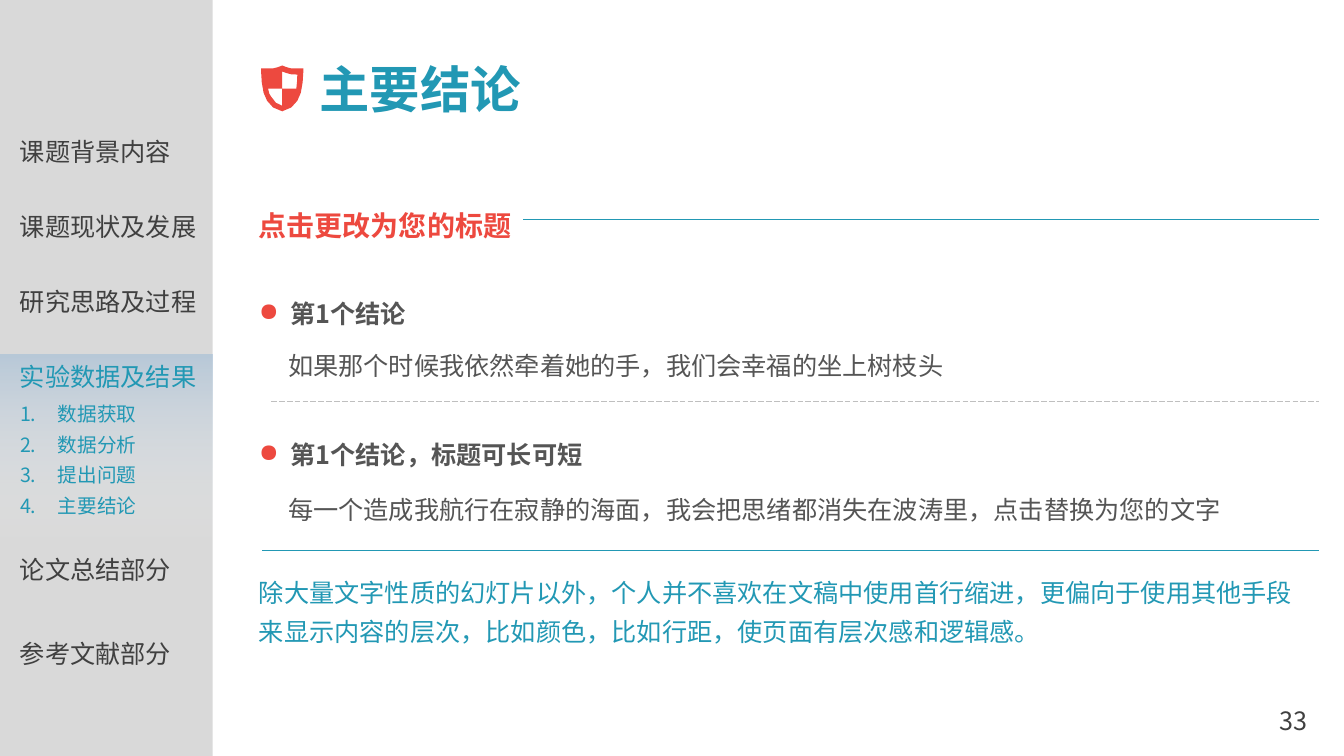
from dataclasses import dataclass

from lxml import etree
from pptx import Presentation
from pptx.dml.color import RGBColor
from pptx.enum.dml import MSO_LINE
from pptx.enum.shapes import MSO_CONNECTOR, MSO_SHAPE
from pptx.enum.text import PP_ALIGN
from pptx.oxml.ns import qn
from pptx.shapes.autoshape import Shape
from pptx.slide import Slide
from pptx.text.text import _Paragraph
from pptx.util import Pt

RECTANGLE = MSO_SHAPE.RECTANGLE
STRAIGHT = MSO_CONNECTOR.STRAIGHT
LONG_DASH = MSO_LINE.LONG_DASH
LEFT = PP_ALIGN.LEFT
CENTER = PP_ALIGN.CENTER

FONT = "Noto Sans CJK SC"
TEAL = "2298B4"
RED = "ED493F"
DARK = "404040"
GRAY = "555555"
SIDEBAR_WIDTH = 152
RIGHT_EDGE = 942.5
Points = list[tuple[float, float]]


@dataclass
class Bullet:
    tag: str
    attributes: dict[str, str]
    indent: float
    color: str = ""


@dataclass
class TextBlock:
    left: float
    top: float
    width: float
    height: float
    lines: list[str]
    color: str = DARK
    size: float = 18
    bold: bool = False
    spacing: float = 1.0
    align: PP_ALIGN = LEFT
    wrap: bool = True
    bullet: Bullet | None = None


@dataclass
class Rule:
    left: float
    top: float
    color: str = TEAL
    dash: MSO_LINE | None = None


NUMBERED = Bullet("a:buAutoNum", {"type": "arabicPeriod"}, 27)
DOT = Bullet("a:buChar", {"char": "●"}, 22.5, RED)


def rgb(color: str) -> RGBColor:
    return RGBColor.from_string(color)


def menu_item(top: float, label: str, color: str = DARK) -> TextBlock:
    return TextBlock(7.2, top, SIDEBAR_WIDTH, 29, [label], color)


def conclusion(top: float, body_top: float, title: str, body: str) -> list[TextBlock]:
    return [
        TextBlock(177.8, top, 314, 36, [title], GRAY, bold=True, spacing=1.5, bullet=DOT),
        TextBlock(198.7, body_top, 774, 40, [body], GRAY, spacing=1.5),
    ]


MAIN_TOPICS = ["课题背景内容", "课题现状及发展", "研究思路及过程", "实验数据及结果"]
CURRENT_TOPIC = "实验数据及结果"
TEXTS = [
    *(menu_item(93.6 + 53.6 * index, label, TEAL if label == CURRENT_TOPIC else DARK)
      for index, label in enumerate(MAIN_TOPICS)),
    menu_item(392.4, "论文总结部分"),
    menu_item(452.2, "参考文献部分"),
    TextBlock(7.2, 278.6, 101, 96, ["数据获取", "数据分析", "提出问题", "主要结论"],
              TEAL, 14, spacing=1.3, bullet=NUMBERED),
    TextBlock(894.2, 500.4, 60, 29, ["33"], align=CENTER),
    TextBlock(221, 38.2, 311, 51, ["主要结论"], TEAL, 36, True),
    TextBlock(177.8, 402.5, 764.6, 61,
              ["除大量文字性质的幻灯片以外，个人并不喜欢在文稿中使用首行缩进，更偏向于使用其他手段"
               "来显示内容的层次，比如颜色，比如行距，使页面有层次感和逻辑感。"],
              TEAL, spacing=1.3),
    TextBlock(177.8, 133.2, 196.6, 40, ["点击更改为您的标题"], RED, 20, True, 1.5, wrap=False),
    *conclusion(198.7, 236.2, "第1个结论",
                "如果那个时候我依然牵着她的手，我们会幸福的坐上树枝头"),
    *conclusion(299.5, 338.4, "第1个结论，标题可长可短",
                "每一个造成我航行在寂静的海面，我会把思绪都消失在波涛里，点击替换为您的文字"),
]
RULES = [
    Rule(373.7, 157),
    Rule(187.2, 393.1),
    Rule(193.7, 286.6, "BFBFBF", LONG_DASH),
]

SHIELD_CENTER, SHIELD_TOP = 201.6, 46.8
SHIELD_HALF: Points = [
    (0, 0), (3, 1.2), (6.5, 2.1), (15.1, 2.1), (15.1, 4.3), (14.6, 12),
    (13.3, 19.5), (10.8, 25.2), (6.5, 30), (0, 32.7),
]
SHIELD_CONTOURS: list[Points] = [
    SHIELD_HALF + [(-x, y) for x, y in SHIELD_HALF[-2:0:-1]],
    [(0, 4.3), (0, 16.6), (10.1, 16.6), (10.6, 11.5), (10.8, 6.5), (6.5, 6.3), (3, 5.4)],
    [(0, 28.8), (-4.5, 26.6), (-7.9, 22.3), (-9.2, 20.2), (-10.1, 16.6), (0, 16.6)],
]


def add_bullet(paragraph: _Paragraph, bullet: Bullet) -> None:
    properties = paragraph._p.get_or_add_pPr()
    properties.set("marL", str(Pt(bullet.indent)))
    properties.set("indent", str(-Pt(bullet.indent)))
    defaults = properties.find(qn("a:defRPr"))
    if bullet.color:
        bullet_color = etree.Element(qn("a:buClr"))
        etree.SubElement(bullet_color, qn("a:srgbClr"), val=bullet.color)
        defaults.addprevious(bullet_color)
    defaults.addprevious(etree.Element(qn(bullet.tag), bullet.attributes))


def add_text(slide: Slide, block: TextBlock) -> None:
    shape = slide.shapes.add_textbox(
        Pt(block.left), Pt(block.top), Pt(block.width), Pt(block.height))
    frame = shape.text_frame
    frame.word_wrap = block.wrap
    frame.text = "\n".join(block.lines)
    for paragraph in frame.paragraphs:
        paragraph.alignment = block.align
        paragraph.line_spacing = block.spacing
        font = paragraph.font
        font.size = Pt(block.size)
        font.bold = block.bold
        font.color.rgb = rgb(block.color)
        font.name = FONT
        defaults = paragraph._p.pPr.find(qn("a:defRPr"))
        etree.SubElement(defaults, qn("a:ea"), typeface=FONT)
        if block.bullet:
            add_bullet(paragraph, block.bullet)


def add_rule(slide: Slide, rule: Rule) -> None:
    connector = slide.shapes.add_connector(
        STRAIGHT, Pt(rule.left), Pt(rule.top), Pt(RIGHT_EDGE), Pt(rule.top))
    connector.line.color.rgb = rgb(rule.color)
    connector.line.width = Pt(0.5)
    if rule.dash:
        connector.line.dash_style = rule.dash
    etree.SubElement(connector._element.spPr, qn("a:effectLst"))


def add_panel(slide: Slide, top: float, height: float) -> Shape:
    panel = slide.shapes.add_shape(RECTANGLE, 0, Pt(top), Pt(SIDEBAR_WIDTH), Pt(height))
    panel.shadow.inherit = False
    panel.line.fill.background()
    return panel


def add_sidebar(slide: Slide) -> None:
    sidebar = add_panel(slide, 0, 540)
    sidebar.fill.solid()
    sidebar.fill.fore_color.rgb = rgb("D9D9D9")
    highlight = add_panel(slide, 253.4, 139)
    highlight.fill.gradient()
    highlight.fill.gradient_angle = 90
    for stop, color in zip(highlight.fill.gradient_stops, ["FFFFFF", "95B7D7"]):
        stop.color.rgb = rgb(color)
    stop_colors = highlight._element.spPr.iter(qn("a:srgbClr"))
    for stop_color, opacity in zip(stop_colors, [0, 49]):
        etree.SubElement(stop_color, qn("a:alpha"), val=str(opacity * 1000))


def add_shield(slide: Slide) -> None:
    contours = [[(Pt(SHIELD_CENTER + x), Pt(SHIELD_TOP + y)) for x, y in contour]
                for contour in SHIELD_CONTOURS]
    builder = slide.shapes.build_freeform(*contours[0][0])
    for contour in contours:
        builder.move_to(*contour[0])
        builder.add_line_segments(contour[1:], close=True)
    shield = builder.convert_to_shape()
    shield.shadow.inherit = False
    shield.fill.solid()
    shield.fill.fore_color.rgb = rgb(RED)
    shield.line.fill.background()


def main() -> None:
    presentation = Presentation()
    presentation.slide_width, presentation.slide_height = Pt(960), Pt(540)
    slide = presentation.slides.add_slide(presentation.slide_layouts[6])
    add_sidebar(slide)
    add_shield(slide)
    for block in TEXTS:
        add_text(slide, block)
    for rule in RULES:
        add_rule(slide, rule)
    presentation.save("out.pptx")


if __name__ == "__main__":
    main()
